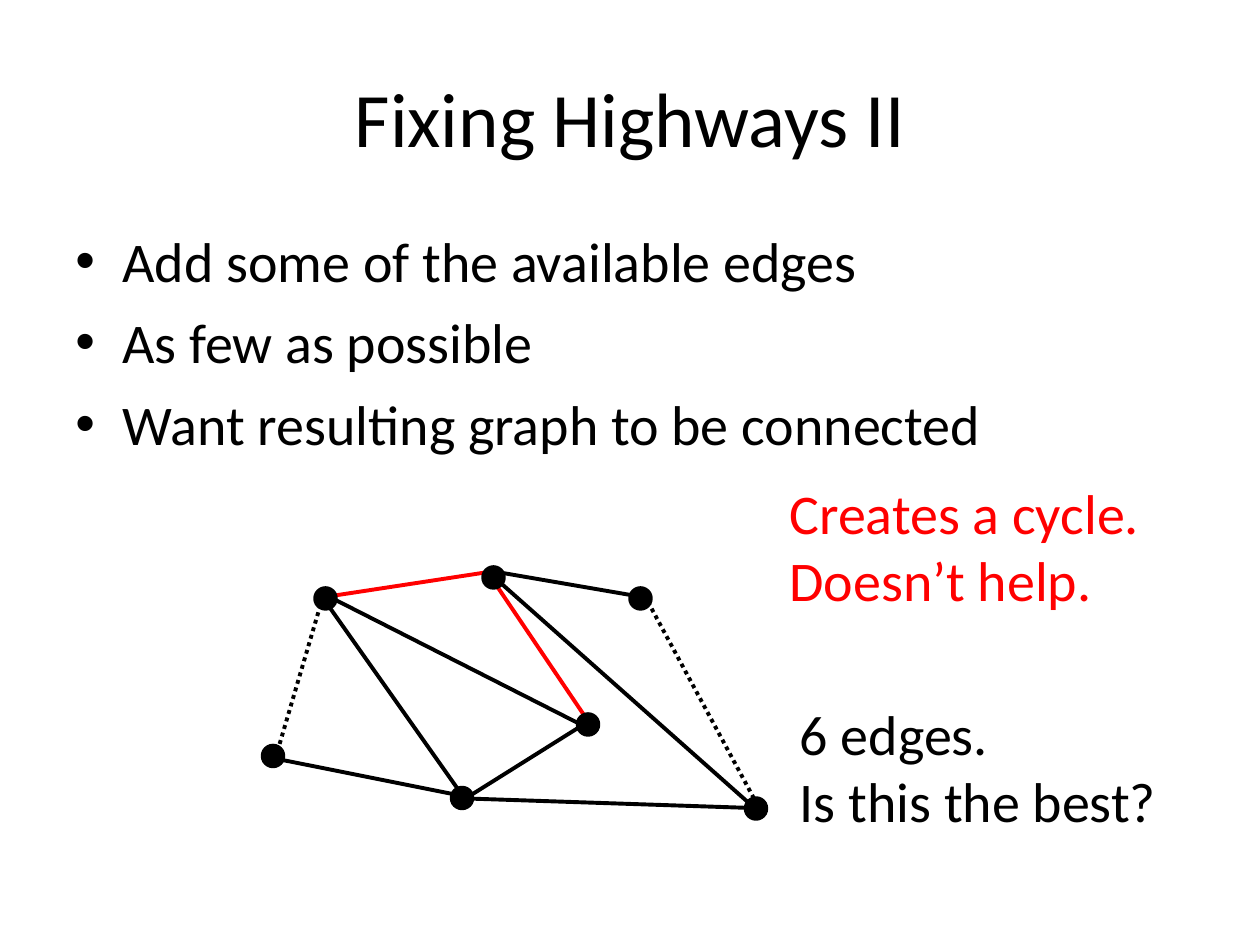
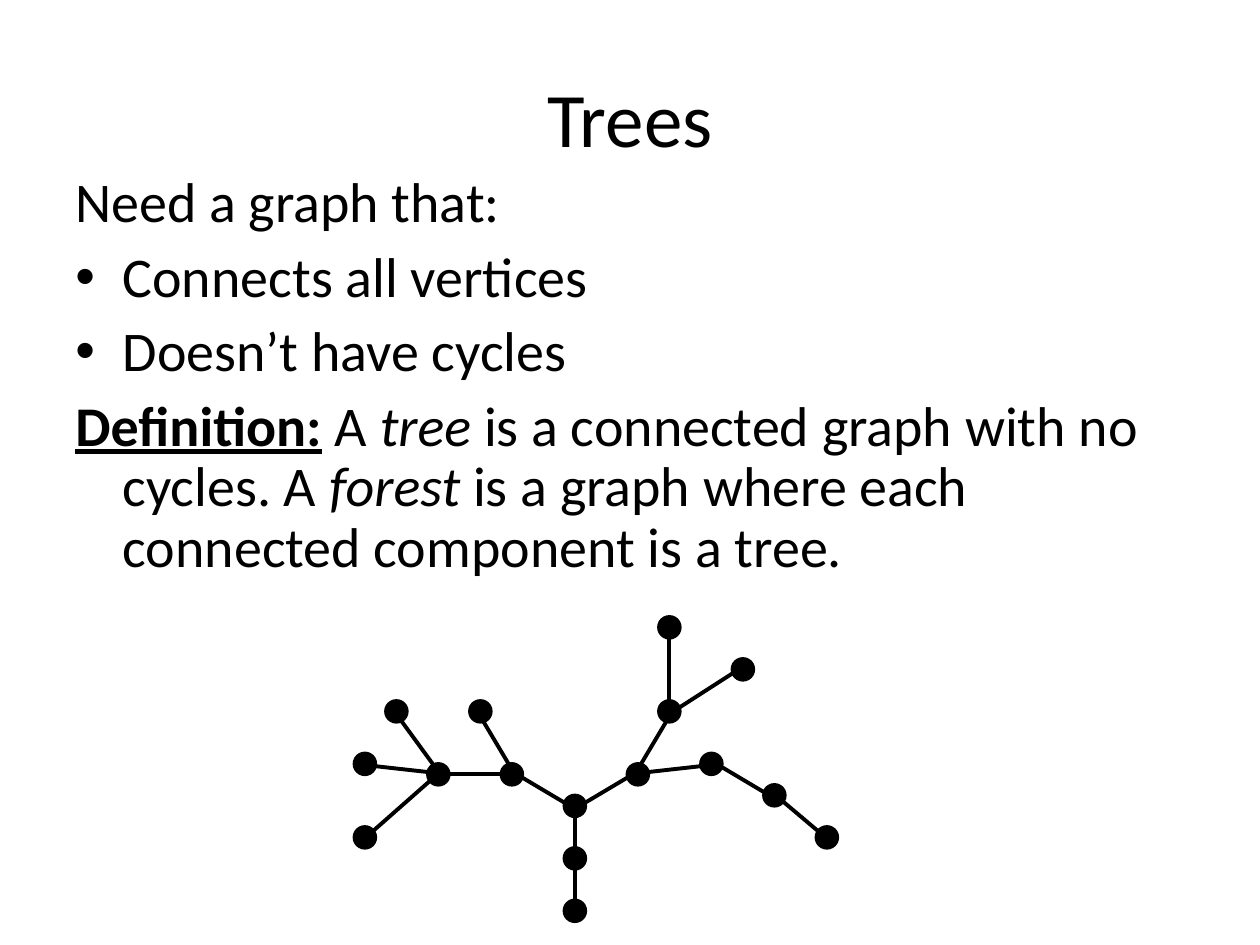
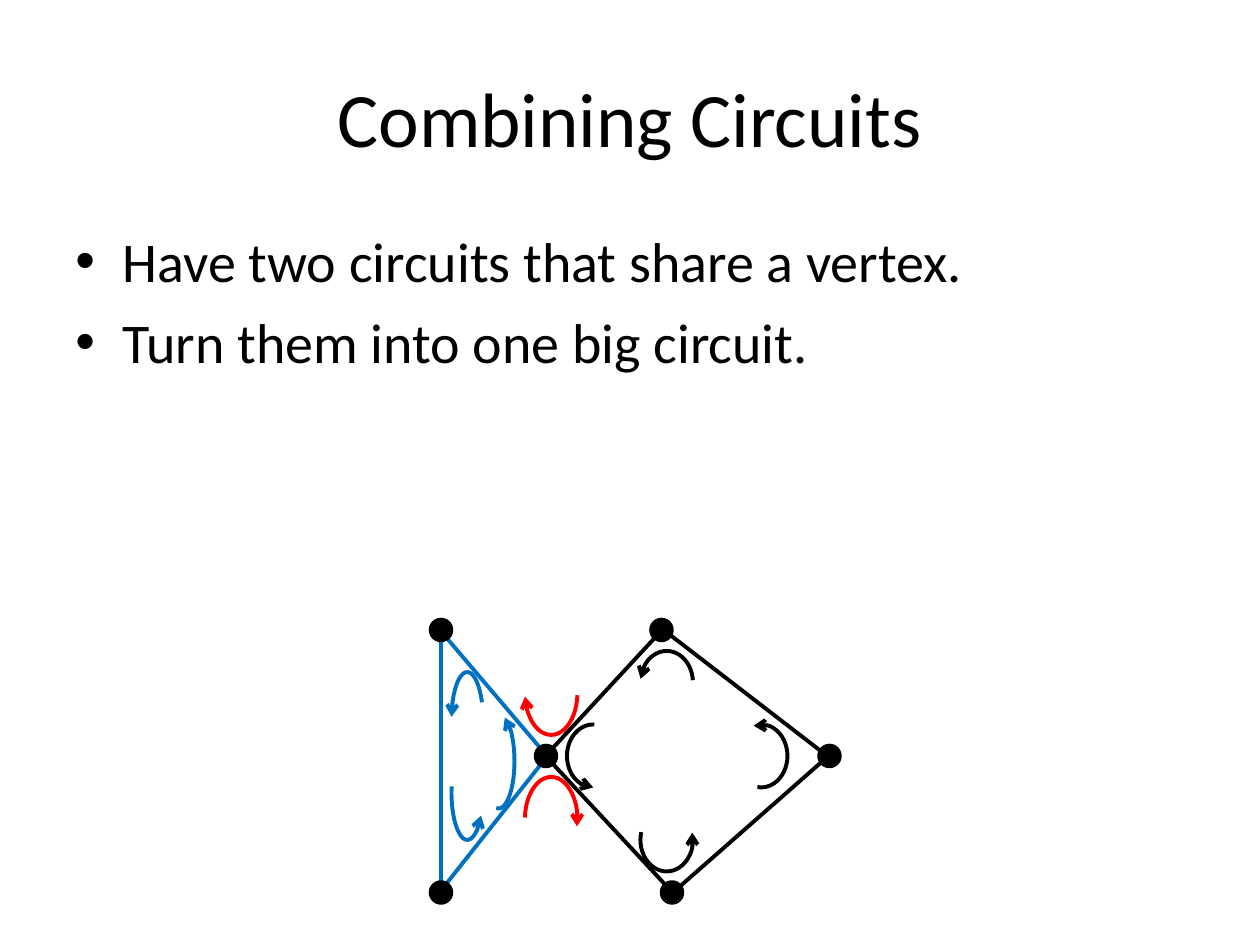
import pptx
import pptx.dml.color
import pptx.enum.dml
import pptx.enum.shapes
import pptx.enum.text
import pptx.oxml
import pptx.oxml.ns
import pptx.util

PX = 3810  # EMU per px, 240 px to the inch
FONT = "Calibri"
COLORS = {"black": "000000", "red": "FF0000", "blue": "0070C0"}
LINE_WIDTH = pptx.util.Pt(2.25)
RADIUS = 20
HANGING = 90
# Points on a vertex's rim, counted counterclockwise from the top
RIM = [(0, -20), (-14, -14), (-20, 0), (-14, 14), (0, 20), (14, 14), (20, 0), (14, -14)]
qn = pptx.oxml.ns.qn
CENTER = pptx.enum.text.PP_ALIGN.CENTER
MIDDLE = pptx.enum.text.MSO_ANCHOR.MIDDLE


def rgb(name):
    return pptx.dml.color.RGBColor.from_string(COLORS[name])


def add_text(page, text, area, size=32, color="black", align=None, anchor=None,
             hanging=False, bullets=(), before=0, spacing=None):
    """Add one paragraph per item of text: a string or a list of (string, "b", "i", "u" flags)."""
    box = page.shapes.add_textbox(*(value * PX for value in area))
    frame = box.text_frame
    frame.word_wrap = True
    if anchor is not None:
        frame.vertical_anchor = anchor
    for index, content in enumerate(text):
        paragraph = frame.paragraphs[0] if index == 0 else frame.add_paragraph()
        properties = paragraph._p.get_or_add_pPr()
        if hanging:
            properties.set("marL", str(HANGING * PX))
            properties.set("indent", str(-HANGING * PX))
        if index in bullets:
            properties.append(properties.makeelement(qn("a:buFont"), {"typeface": "Arial"}))
            properties.append(properties.makeelement(qn("a:buChar"), {"char": "•"}))
        paragraph.alignment = align
        paragraph.line_spacing = spacing
        if index and before:
            paragraph.space_before = pptx.util.Pt(before)
        for words, flags in [(content, "")] if isinstance(content, str) else content:
            span = paragraph.add_run()
            span.text = words
            span.font.name = FONT
            span.font.size = pptx.util.Pt(size)
            span.font.color.rgb = rgb(color)
            span.font.bold = "b" in flags
            span.font.italic = "i" in flags
            span.font.underline = "u" in flags


def add_graph(page, vertices, edges):
    """Draw edges (vertex, rim point, vertex, rim point, style) and the vertices on top."""
    for start, start_rim, end, end_rim, style in edges:
        ends = [(vertices[name][axis] + RIM[rim][axis]) * PX
                for name, rim in ((start, start_rim), (end, end_rim)) for axis in (0, 1)]
        edge = page.shapes.add_connector(pptx.enum.shapes.MSO_CONNECTOR.STRAIGHT, *ends)
        edge.line.width = LINE_WIDTH
        edge.line.color.rgb = rgb("black" if style == "dotted" else style)
        if style == "dotted":
            edge.line.dash_style = pptx.enum.dml.MSO_LINE.ROUND_DOT
        properties = edge._element.spPr
        properties.append(properties.makeelement(qn("a:effectLst"), {}))
    for x, y in vertices.values():
        vertex = page.shapes.add_shape(
            pptx.enum.shapes.MSO_SHAPE.OVAL,
            (x - RADIUS) * PX, (y - RADIUS) * PX, 2 * RADIUS * PX, 2 * RADIUS * PX)
        vertex.shadow.inherit = False
        vertex.fill.solid()
        vertex.fill.fore_color.rgb = rgb("black")
        vertex.line.color.rgb = rgb("black")
        vertex.line.width = pptx.util.Pt(2)


deck = pptx.Presentation()
deck.slide_width = 2400 * PX
deck.slide_height = 1800 * PX

pages = []
for title in ("Fixing Highways II", "Trees", "Combining Circuits"):
    page = deck.slides.add_slide(deck.slide_layouts[6])
    add_text(page, [title], (120, 72, 2160, 300), size=44, align=CENTER, anchor=MIDDLE)
    pages.append(page)
highways, trees, circuits = pages

# Fixing Highways II
add_text(highways,
         ["Add some of the available edges", "As few as possible",
          "Want resulting graph to be connected"],
         (120, 420, 2160, 480), hanging=True, bullets=(0, 1, 2), before=8)
cities = {
    "west": (520, 1440), "northwest": (620, 1140), "north": (940, 1100),
    "northeast": (1220, 1140), "middle": (1120, 1380), "south": (880, 1520),
    "southeast": (1440, 1540),
}
add_graph(highways, cities, [
    ("west", 4, "northwest", 0, "dotted"),
    ("northeast", 0, "southeast", 5, "dotted"),
    ("northwest", 1, "south", 5, "black"),
    ("west", 2, "south", 6, "black"),
    ("south", 3, "middle", 7, "black"),
    ("northwest", 1, "middle", 5, "black"),
    ("south", 2, "southeast", 6, "black"),
    ("southeast", 5, "north", 1, "black"),
    ("north", 1, "northeast", 6, "black"),
    ("northwest", 2, "north", 7, "red"),
    ("middle", 5, "north", 1, "red"),
])
add_text(highways, ["6 edges.", "Is this the best?"], (1500, 1320, 800, 280))
add_text(highways, ["Creates a cycle. Doesn’t help."], (1480, 900, 780, 280), color="red")

# Trees
definition = [("Definition:", "bu"), (" A ", ""), ("tree", "i"),
              (" is a connected graph with no cycles. A ", ""), ("forest", "i"),
              (" is a graph where each connected component is a tree.", "")]
add_text(trees,
         ["Need a graph that:", "Connects all vertices", "Doesn’t have cycles", definition],
         (120, 320, 2160, 800), hanging=True, bullets=(1, 2), before=8, spacing=0.9)
branches = {
    "foot": (1095, 1735), "stem": (1095, 1635), "fork": (1095, 1535),
    "right": (1215, 1475), "right_upper": (1275, 1355), "right_top": (1275, 1195),
    "right_leaf": (1415, 1275), "right_lower": (1355, 1455), "right_outer": (1475, 1515),
    "right_end": (1575, 1595), "left": (975, 1475), "left_upper": (915, 1355),
    "left_hub": (835, 1475), "left_top": (755, 1355), "left_leaf": (695, 1455),
    "left_end": (695, 1595),
}
add_graph(trees, branches, [(*edge, "black") for edge in (
    ("fork", 0, "foot", 4),
    ("fork", 3, "right", 7),
    ("right_upper", 7, "right", 3),
    ("right_top", 0, "right_upper", 4),
    ("right_leaf", 7, "right_upper", 3),
    ("right", 2, "right_lower", 6),
    ("right_lower", 1, "right_outer", 5),
    ("right_outer", 1, "right_end", 5),
    ("fork", 5, "left", 1),
    ("left", 5, "left_upper", 1),
    ("left", 6, "left_hub", 2),
    ("left_hub", 5, "left_top", 1),
    ("left_hub", 6, "left_leaf", 2),
    ("left_hub", 7, "left_end", 3),
)])

# Combining Circuits
add_text(circuits,
         ["Have two circuits that share a vertex.", "Turn them into one big circuit."],
         (120, 420, 2160, 600), hanging=True, bullets=(0, 1), before=8)
corners = {
    "shared": (1040, 1440), "left_top": (840, 1200), "left_bottom": (840, 1700),
    "top": (1260, 1200), "right": (1580, 1440), "bottom": (1280, 1700),
}
add_graph(circuits, corners, [
    ("top", 1, "right", 5, "black"),
    ("shared", 3, "top", 7, "black"),
    ("shared", 1, "bottom", 5, "black"),
    ("bottom", 3, "right", 7, "black"),
    ("shared", 5, "left_top", 1, "blue"),
    ("left_bottom", 4, "left_top", 0, "blue"),
    ("left_bottom", 3, "shared", 7, "blue"),
])
# Left, top, width, height, clockwise start and end in degrees, arrow end, colour
turns = [
    (1220, 1240, 100, 120, 188, 355, "headEnd", "black"),
    (1080, 1380, 100, 120, 90, 272, "headEnd", "black"),
    (1220, 1540, 100, 120, 344, 197, "headEnd", "black"),
    (1400, 1380, 100, 120, 256, 97, "headEnd", "black"),
    (860, 1280, 60, 180, 189, 311, "headEnd", "blue"),
    (860, 1420, 60, 180, 59, 202, "headEnd", "blue"),
    (920, 1360, 60, 180, 278, 93, "headEnd", "blue"),
    (1000, 1240, 100, 160, 5, 172, "tailEnd", "red"),
    (1000, 1480, 100, 160, 183, 16, "tailEnd", "red"),
]
for left, top, width, height, start, end, arrow_end, color in turns:
    turn = circuits.shapes.add_shape(pptx.enum.shapes.MSO_SHAPE.ARC,
                                     left * PX, top * PX, width * PX, height * PX)
    turn.shadow.inherit = False
    turn.adjustments[0] = start * 0.6
    turn.adjustments[1] = end * 0.6
    turn.fill.background()
    turn.line.color.rgb = rgb(color)
    turn.line.width = LINE_WIDTH
    outline = turn._element.spPr.find(qn("a:ln"))
    outline.append(outline.makeelement(qn("a:" + arrow_end), {"type": "arrow"}))

deck.save("out.pptx")
